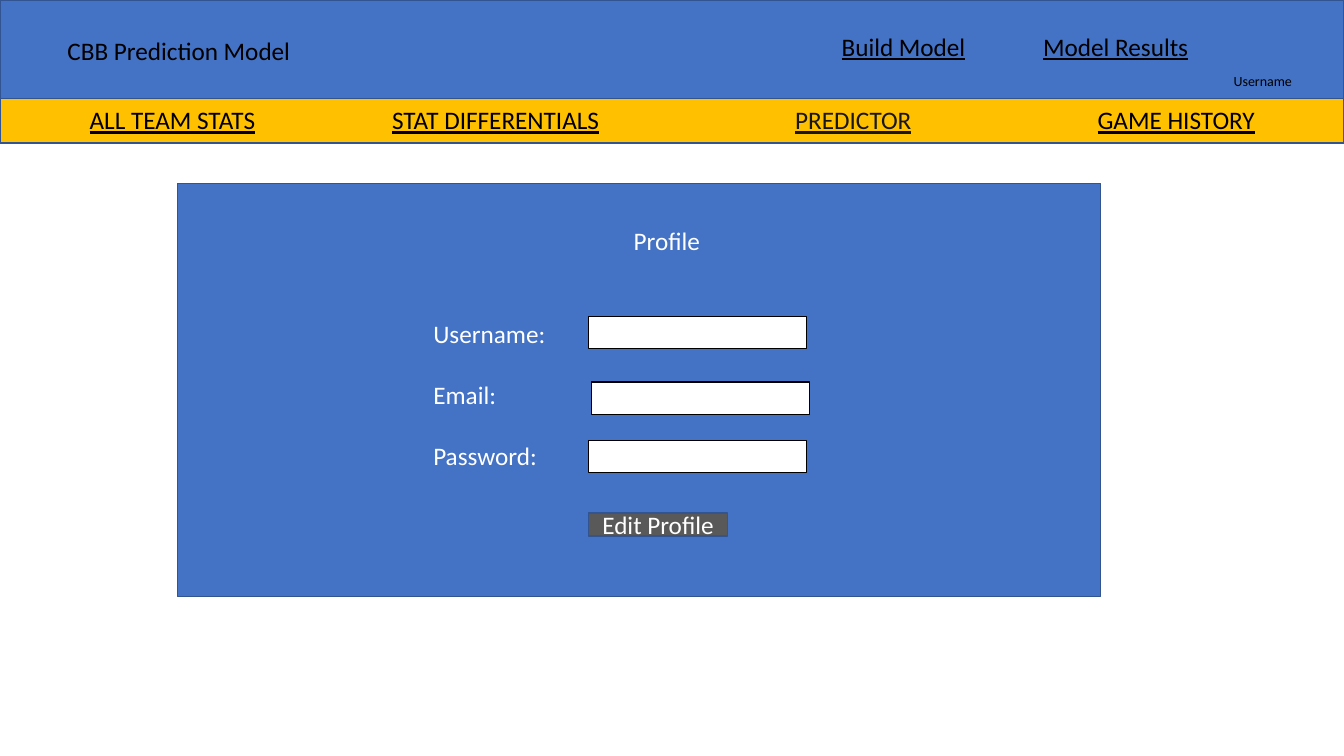
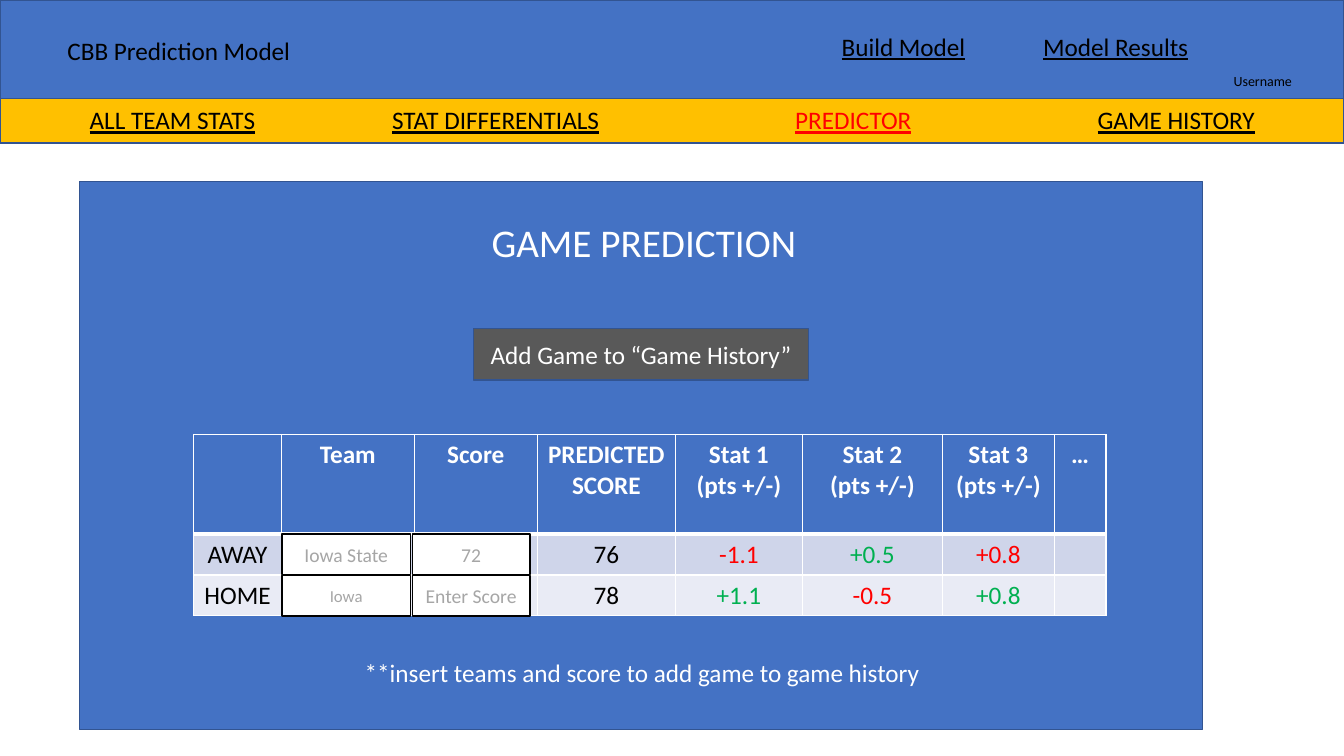
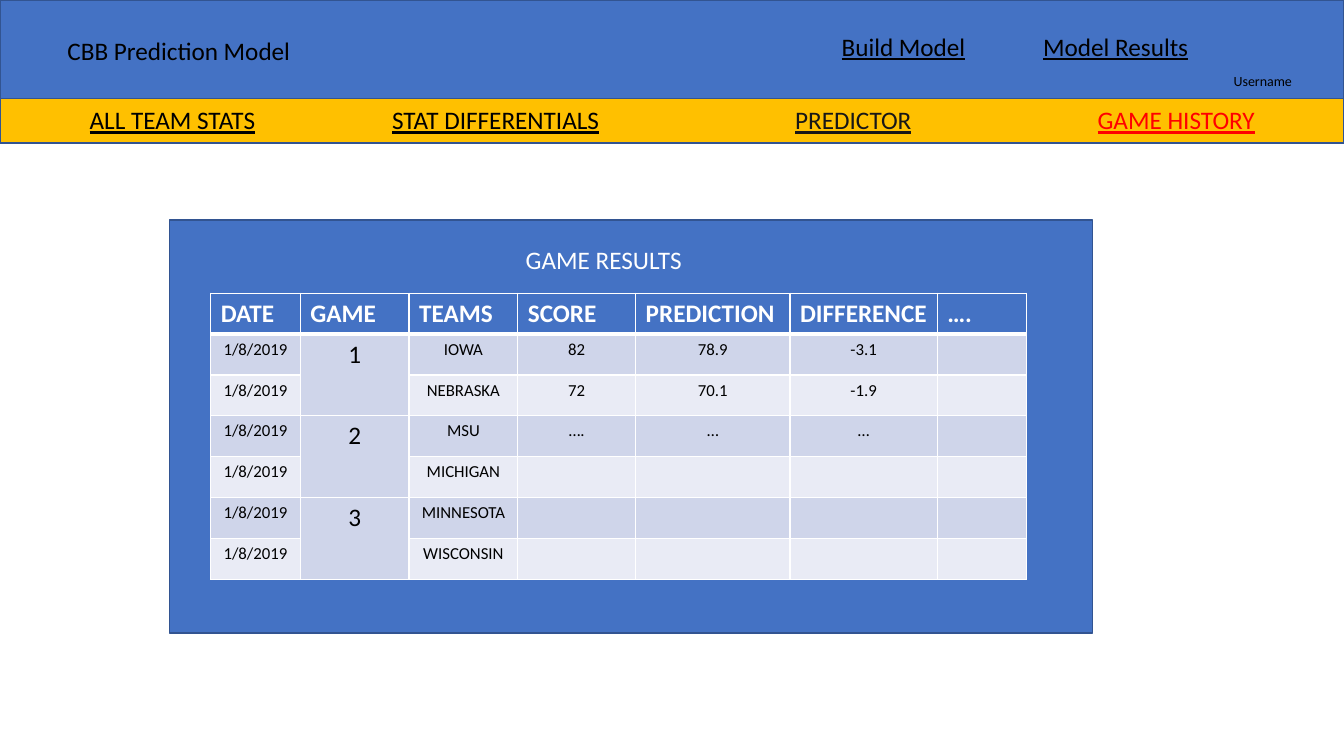
from dataclasses import dataclass

from lxml import etree
from pptx import Presentation
from pptx.dml.color import RGBColor
from pptx.enum.shapes import MSO_SHAPE
from pptx.enum.text import MSO_ANCHOR, PP_ALIGN
from pptx.oxml.ns import qn
from pptx.util import Cm, Pt

RECTANGLE = MSO_SHAPE.RECTANGLE
LEFT, CENTER = PP_ALIGN.LEFT, PP_ALIGN.CENTER
TOP, MIDDLE = MSO_ANCHOR.TOP, MSO_ANCHOR.MIDDLE


@dataclass(frozen=True)
class Theme:
    font: str = "Calibri"
    blue: str = "4472C4"
    outline: str = "325491"
    gold: str = "FFC000"
    gray: str = "595959"
    hint: str = "A6A6A6"
    band_dark: str = "CFD5EA"
    band_light: str = "E9EBF5"
    white: str = "FFFFFF"
    black: str = "000000"
    ink: str = "181717"
    red: str = "FF0000"
    green: str = "00B050"
    title: int = 28
    body: int = 18
    field: int = 14
    small: int = 12
    tiny: int = 10


theme = Theme()


def write(frame, text, size=theme.body, color=theme.white, bold=False, align=LEFT,
          underline=False, tints=None, stops=(), gap=0):
    """Write one paragraph per line; tints recolours single tabbed entries."""
    for number, line in enumerate(text.split("\n")):
        para = frame.add_paragraph() if number else frame.paragraphs[0]
        para.alignment = align
        para.space_after = Pt(gap)
        if stops:
            tab_list = etree.SubElement(para._p.get_or_add_pPr(), qn("a:tabLst"))
            for stop in stops:
                etree.SubElement(tab_list, qn("a:tab"), pos=str(Cm(stop)), algn="l")
        for position, entry in enumerate(line.split("\t")):
            pieces = [("\t", False)] if position else []
            for content, underlined in pieces + [(entry, underline)]:
                span = para.add_run()
                span.text = content
                span.font.name = theme.font
                span.font.size = Pt(size)
                span.font.bold = bold
                span.font.underline = underlined
                span.font.color.rgb = RGBColor.from_string((tints or {}).get(content, color))


def add_box(page, place, text="", fill=None, line=theme.outline, **text_format):
    """Add a filled rectangle, or a plain text box when there is no fill."""
    lengths = [Cm(value) for value in place]
    if fill:
        box = page.shapes.add_shape(RECTANGLE, *lengths)
        box.shadow.inherit = False
        box.fill.solid()
        box.fill.fore_color.rgb = RGBColor.from_string(fill)
        box.line.color.rgb = RGBColor.from_string(line)
        box.line.width = Pt(1)
        text_format.setdefault("align", CENTER)
    else:
        box = page.shapes.add_textbox(*lengths)
    box.text_frame.word_wrap = True
    box.text_frame.vertical_anchor = MIDDLE if fill else TOP
    if text:
        write(box.text_frame, text, **text_format)


deck = Presentation()
deck.slide_width, deck.slide_height = Cm(33.87), Cm(19.05)

# Shared header, navigation and main panel
page_plans = [
    (None, (4.47, 4.62, 23.27, 10.41)),
    ("PREDICTOR", (2.01, 4.57, 28.3, 13.82)),
    ("GAME HISTORY", (4.27, 5.54, 23.27, 10.41)),
]
for active_link, panel_place in page_plans:
    page = deck.slides.add_slide(deck.slide_layouts[6])
    add_box(page, (0, 0, 33.87, 2.49), fill=theme.blue)
    add_box(page, (0, 2.49, 33.87, 1.12), fill=theme.gold)
    add_box(page, (2.01, 2.51, 31.29, 1.02),
            "ALL TEAM STATS\tSTAT DIFFERENTIALS\tPREDICTOR\tGAME HISTORY",
            color=theme.black, underline=True, stops=(7.62, 17.78, 25.4),
            tints={"PREDICTOR": theme.ink, active_link: theme.red})
    add_box(page, (1.45, 0.76, 6.17, 1.02), "CBB Prediction Model", color=theme.black)
    add_box(page, (20.96, 0.66, 9.37, 1.02), "Build Model\tModel Results",
            color=theme.black, underline=True, stops=(5.08,))
    add_box(page, (30.84, 1.7, 2.05, 0.69), "Username", size=theme.tiny, color=theme.black)
    add_box(page, panel_place, fill=theme.blue)

profile_page, prediction_page, history_page = deck.slides

# Table contents
prediction_rows = [
    ["", "Team", "Score", "PREDICTED SCORE", "Stat 1\n(pts +/-)", "Stat 2\n(pts +/-)",
     "Stat 3\n(pts +/-)", "…"],
    ["AWAY", "", "", "76", "-1.1", "+0.5", "+0.8", ""],
    ["HOME", "", "", "78", "+1.1", "-0.5", "+0.8", ""],
]
prediction_formats = {
    (row, column): {"color": color}
    for row, colors in ((1, (theme.red, theme.green, theme.red)),
                        (2, (theme.green, theme.red, theme.green)))
    for column, color in enumerate(colors, start=4)
}
game_date = "1/8/2019"
history_rows = [
    ["DATE", "GAME", "TEAMS", "SCORE", "PREDICTION", "DIFFERENCE", "…."],
    [game_date, "1", "IOWA", "82", "78.9", "-3.1", ""],
    [game_date, "", "NEBRASKA", "72", "70.1", "-1.9", ""],
    [game_date, "2", "MSU", "….", "…", "…", ""],
    [game_date, "", "MICHIGAN", "", "", "", ""],
    [game_date, "3", "MINNESOTA", "", "", "", ""],
    [game_date, "", "WISCONSIN", "", "", "", ""],
]
game_starts = (1, 3, 5)
history_formats = {(row, 1): {"size": theme.body} for row in game_starts}

# Tables: page, corner, column widths, header height, rows, header align, body size, formats
table_plans = [
    (prediction_page, (4.88, 10.95), (2.21, 3.35, 3.1, 3.48, 3.2, 3.53, 2.82, 1.3), 2.51,
     prediction_rows, CENTER, theme.body, prediction_formats),
    (history_page, (5.31, 7.39), (2.26, 2.74, 2.74, 2.97, 3.89, 3.71, 2.26), 1.03,
     history_rows, LEFT, theme.small, history_formats),
]
tables = []
for page, corner, widths, header_height, rows, header_align, body_size, formats in table_plans:
    heights = [header_height] + [1.03] * (len(rows) - 1)
    size = (sum(widths), sum(heights))
    table = page.shapes.add_table(
        len(rows), len(widths), *[Cm(value) for value in corner + size]).table
    table.horz_banding = False
    tables.append(table)
    for column, width in zip(table.columns, widths):
        column.width = Cm(width)
    for row, height in zip(table.rows, heights):
        row.height = Cm(height)
    for row_number, texts in enumerate(rows):
        is_header = row_number == 0
        band = theme.band_dark if row_number % 2 else theme.band_light
        for column_number, text in enumerate(texts):
            cell = table.cell(row_number, column_number)
            cell.fill.solid()
            cell.fill.fore_color.rgb = RGBColor.from_string(theme.blue if is_header else band)
            if text:
                text_format = {
                    "size": theme.body if is_header else body_size,
                    "color": theme.white if is_header else theme.black,
                    "bold": is_header,
                    "align": header_align if is_header else CENTER,
                }
                text_format.update(formats.get((row_number, column_number), {}))
                write(cell.text_frame, text, **text_format)
            # White rules, heavier below the header
            heavy_side = {0: "B", 1: "T"}.get(row_number)
            properties = cell._tc.get_or_add_tcPr()
            for index, side in enumerate("LRTB"):
                width = Pt(3 if side == heavy_side else 1)
                rule = etree.Element(qn(f"a:ln{side}"), w=str(width))
                rule_fill = etree.SubElement(rule, qn("a:solidFill"))
                etree.SubElement(rule_fill, qn("a:srgbClr"), val=theme.white)
                properties.insert(index, rule)

# Profile form
add_box(profile_page, (15.72, 5.56, 2.41, 1.02), "Profile")
add_box(profile_page, (10.67, 7.9, 12.55, 4.11), "Username:\nEmail:\nPassword:", gap=22)
for left, top in ((14.83, 7.98), (14.91, 9.63), (14.83, 11.1)):
    add_box(profile_page, (left, top, 5.49, 0.81), fill=theme.white, line=theme.black)
add_box(profile_page, (14.83, 12.93, 3.51, 0.58), "Edit Profile", fill=theme.gray)

# Game prediction
add_box(prediction_page, (12.14, 5.38, 8.43, 1.45), "GAME PREDICTION", size=theme.title)
add_box(prediction_page, (11.94, 8.28, 8.43, 1.3), "Add Game to “Game History”",
        fill=theme.gray)
entries = [
    (13.46, ("Iowa State", theme.field), ("72", theme.field)),
    (14.5, ("Iowa", theme.small), ("Enter Score", theme.field)),
]
for top, *fields in entries:
    for (left, width), (text, size) in zip(((7.11, 3.23), (10.39, 2.97)), fields):
        add_box(prediction_page, (left, top, width, 1.02), text, fill=theme.white,
                line=theme.black, size=size, color=theme.hint)
add_box(prediction_page, (8.94, 16.43, 14.83, 1.02),
        "**insert teams and score to add game to game history")

# Game results
add_box(history_page, (13, 6.02, 9.3, 1.02), "GAME RESULTS")
history_table = tables[1]
for row in game_starts:
    history_table.cell(row, 1).merge(history_table.cell(row + 1, 1))

deck.save("out.pptx")
